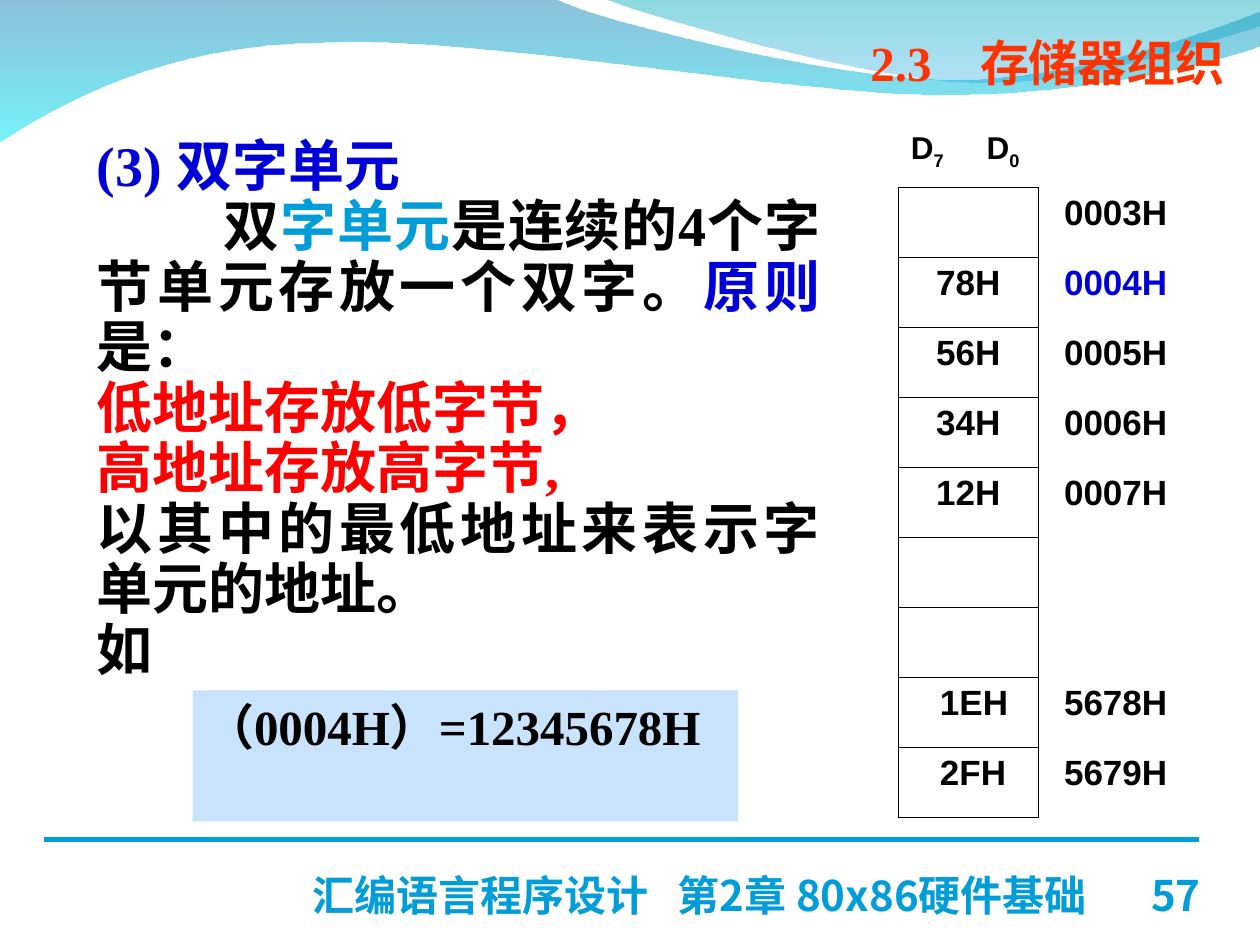
from lxml.etree import Element, SubElement
from pptx import Presentation
from pptx.dml.color import RGBColor
from pptx.enum.shapes import MSO_CONNECTOR, MSO_SHAPE
from pptx.enum.text import MSO_ANCHOR, MSO_AUTO_SIZE, PP_ALIGN
from pptx.oxml.ns import qn
from pptx.util import Inches, Pt

BLACK = RGBColor(0x00, 0x00, 0x00)
BLUE = RGBColor(0x00, 0x00, 0xD6)
SKY = RGBColor(0x00, 0x9D, 0xD9)
RED = RGBColor(0xFF, 0x00, 0x00)
ORANGE = RGBColor(0xFF, 0x33, 0x00)
PALE_BLUE = RGBColor(0xC8, 0xE3, 0xFB)
DEEP_BLUE = RGBColor(0x00, 0x79, 0xAF)
CYAN = RGBColor(0x00, 0xEB, 0xF8)
TEAL = RGBColor(0x00, 0xAD, 0xB6)
AZURE = RGBColor(0x00, 0x9B, 0xE5)
SERIF, SANS, CHINESE = "Times New Roman", "Arial", "Noto Sans CJK JP"
NO_STYLE_NO_GRID = "{2D5ABB26-0587-4C30-8999-92F81FD0307C}"


class SlideBuilder:
    def __init__(self, slide):
        self.slide = slide

    def runs(self, paragraph, runs, size, font):
        for text, color in runs:
            run = paragraph.add_run()
            run.text = text
            run.font.size = Pt(size)
            run.font.bold = True
            run.font.color.rgb = color
            run.font.name = font
            SubElement(run.font._element, qn("a:ea"), typeface=CHINESE)

    def tab(self, paragraph, position):
        properties = paragraph._p.get_or_add_pPr()
        tabs = SubElement(properties, qn("a:tabLst"))
        SubElement(tabs, qn("a:tab"), pos=str(Inches(position)), algn="l")

    def text(self, box, paragraphs, size, font, align=PP_ALIGN.LEFT,
             inset=True, fill=None, tab=None):
        left, top, width, height = map(Inches, box)
        if fill is None:
            shape = self.slide.shapes.add_textbox(left, top, width, height)
        else:
            shape = self.slide.shapes.add_shape(MSO_SHAPE.RECTANGLE, left, top, width, height)
            shape.shadow.inherit = False
            shape.fill.solid()
            shape.fill.fore_color.rgb = fill
            shape.line.fill.background()
        frame = shape.text_frame
        frame.word_wrap = True
        if inset:
            frame.auto_size = MSO_AUTO_SIZE.SHAPE_TO_FIT_TEXT
            frame.vertical_anchor = MSO_ANCHOR.TOP
        else:
            frame.margin_left = frame.margin_right = 0
            frame.margin_top = frame.margin_bottom = 0
            frame.vertical_anchor = MSO_ANCHOR.BOTTOM
        for index, runs in enumerate(paragraphs):
            paragraph = frame.add_paragraph() if index else frame.paragraphs[0]
            paragraph.alignment = align
            if index:
                paragraph.line_spacing = 0.9
            if tab and any("\t" in text for text, _ in runs):
                self.tab(paragraph, tab)
            self.runs(paragraph, runs, size, font)

    def wave(self, start, segments, stops):
        points = [tuple(map(Inches, point)) for segment in segments for point in segment]
        builder = self.slide.shapes.build_freeform(*map(Inches, start))
        builder.add_line_segments(points, close=True)
        shape = builder.convert_to_shape()
        lines = iter(list(shape._element.iter(qn("a:lnTo"))))
        for segment in segments:
            pieces = [next(lines) for _ in segment]
            if len(pieces) == 3:
                curve = Element(qn("a:cubicBezTo"))
                pieces[0].addprevious(curve)
                for piece in pieces:
                    curve.append(piece[0])
                    piece.getparent().remove(piece)
        shape.shadow.inherit = False
        shape.line.fill.background()
        shape.fill.gradient()
        shape.fill.gradient_angle = 270
        for stop, (color, opacity) in zip(shape.fill.gradient_stops, stops):
            stop.color.rgb = color
            color_element = stop._gs.find(qn("a:srgbClr"))
            SubElement(color_element, qn("a:alpha"), val=str(opacity * 1000))

    def line(self, start, end, color, width):
        connector = self.slide.shapes.add_connector(
            MSO_CONNECTOR.STRAIGHT, *map(Inches, start + end))
        connector.line.color.rgb = color
        connector.line.width = Pt(width)
        SubElement(connector._element.spPr, qn("a:effectLst"))

    def borders(self, cell, sides):
        properties = cell._tc.get_or_add_tcPr()
        for side in "LRTB":
            border = SubElement(properties, qn(f"a:ln{side}"), w=str(Pt(0.45)))
            if side in sides:
                fill = SubElement(border, qn("a:solidFill"))
                SubElement(fill, qn("a:srgbClr"), val=str(BLACK))
            else:
                SubElement(border, qn("a:noFill"))

    def memory_table(self, box, widths, header_height, rows):
        frame = self.slide.shapes.add_table(len(rows) + 1, 2, *map(Inches, box))
        table = frame.table
        table.first_row = table.horz_banding = False
        table._tbl.tblPr.find(qn("a:tableStyleId")).text = NO_STYLE_NO_GRID
        for column, width in zip(table.columns, widths):
            column.width = Inches(width)
        row_height = (box[3] - header_height) / len(rows)
        for index, row in enumerate(table.rows):
            row.height = Inches(row_height if index else header_height)
        self.borders(table.cell(0, 0), "B")
        self.borders(table.cell(0, 1), "")
        for row, (value, address, color) in enumerate(rows, 1):
            for column, (text, ink) in enumerate(((value, BLACK), (address, color))):
                cell = table.cell(row, column)
                self.borders(cell, "L" if column else "LRTB")
                paragraph = cell.text_frame.paragraphs[0]
                paragraph.alignment = PP_ALIGN.CENTER
                if text in ("1EH", "2FH"):
                    paragraph.alignment = PP_ALIGN.JUSTIFY
                    cell.margin_left = Inches(0.33)
                if text:
                    self.runs(paragraph, [(text, ink)], 20, SANS)
        header = table.cell(0, 0).text_frame.paragraphs[0]
        header.alignment = PP_ALIGN.JUSTIFY
        self.tab(header, 0.6)
        self.runs(header, [(text, BLACK) for text in ("D", "7", "\tD", "0")], 18, SANS)
        for run in header.runs[1::2]:
            run.font._element.set("baseline", "-25000")
        for cell in table.iter_cells():
            cell.fill.background()


def main():
    presentation = Presentation()
    presentation.slide_width, presentation.slide_height = Inches(10), Inches(7.5)
    slide = presentation.slides.add_slide(presentation.slide_layouts[6])
    builder = SlideBuilder(slide)

    builder.wave((0, -0.01), [
        [(4.4, -0.01)],
        [(4.76, 0.17), (6.64, 0.63), (7.58, 0.63)],
        [(8.53, 0.63), (9.58, 0.26), (10, 0.09)],
        [(10.01, 0.36)],
        [(9.83, 0.44), (8.7, 0.76), (7.46, 0.75)],
        [(6.22, 0.75), (3.82, 0.28), (2.57, 0.34)],
        [(1.29, 0.35), (0.46, 0.83), (-0.01, 1.13)],
        [(0, -0.01)],
    ], [(DEEP_BLUE, 45), (CYAN, 55)])
    builder.wave((4.79, -0.01), [
        [(5.09, 0.11), (6.82, 0.62), (7.69, 0.65)],
        [(8.56, 0.69), (9.61, 0.32), (10, 0.21)],
        [(10, 0)],
        [(4.79, -0.01)],
    ], [(TEAL, 45), (AZURE, 30)])
    builder.line((0.35, 6.66), (9.52, 6.66), SKY, 3)

    builder.text((0.67, 0.99, 5.94, 4.48), [
        [("(3) 双字单元", BLUE)],
        [("\t双", BLACK), ("字单元", SKY), ("是连续的4个字节单元存放一个双字。", BLACK),
         ("原则", BLUE), ("是：", BLACK)],
        [("低地址存放低字节，", RED)],
        [("高地址存放高字节,", RED)],
        [("以其中的最低地址来表示字单元的地址。", BLACK)],
        [("如", BLACK)],
    ], 32, SERIF, PP_ALIGN.JUSTIFY, tab=1)

    builder.memory_table((7.13, 0.99, 2.34, 5.5), (1.11, 1.23), 0.5, [
        ("", "0003H", BLACK),
        ("78H", "0004H", BLUE),
        ("56H", "0005H", BLACK),
        ("34H", "0006H", BLACK),
        ("12H", "0007H", BLACK),
        ("", "", BLACK),
        ("", "", BLACK),
        ("1EH", "5678H", BLACK),
        ("2FH", "5679H", BLACK),
    ])
    builder.text((1.53, 5.48, 4.33, 1.04), [[("（0004H）=12345678H", BLACK)]],
                 28, SERIF, fill=PALE_BLUE)
    builder.text((8.7, 6.9, 0.83, 0.4), [[("57", SKY)]], 24, CHINESE,
                 PP_ALIGN.RIGHT, inset=False)
    builder.text((2.48, 6.9, 6.69, 0.4), [[("汇编语言程序设计\t第2章 80x86硬件基础", SKY)]],
                 24, CHINESE, inset=False, tab=2.9)
    builder.text((6.81, 0.21, 3.19, 0.57), [[("2.3\t存储器组织", ORANGE)]],
                 28, SERIF, tab=0.87)
    presentation.save("out.pptx")


if __name__ == "__main__":
    main()
